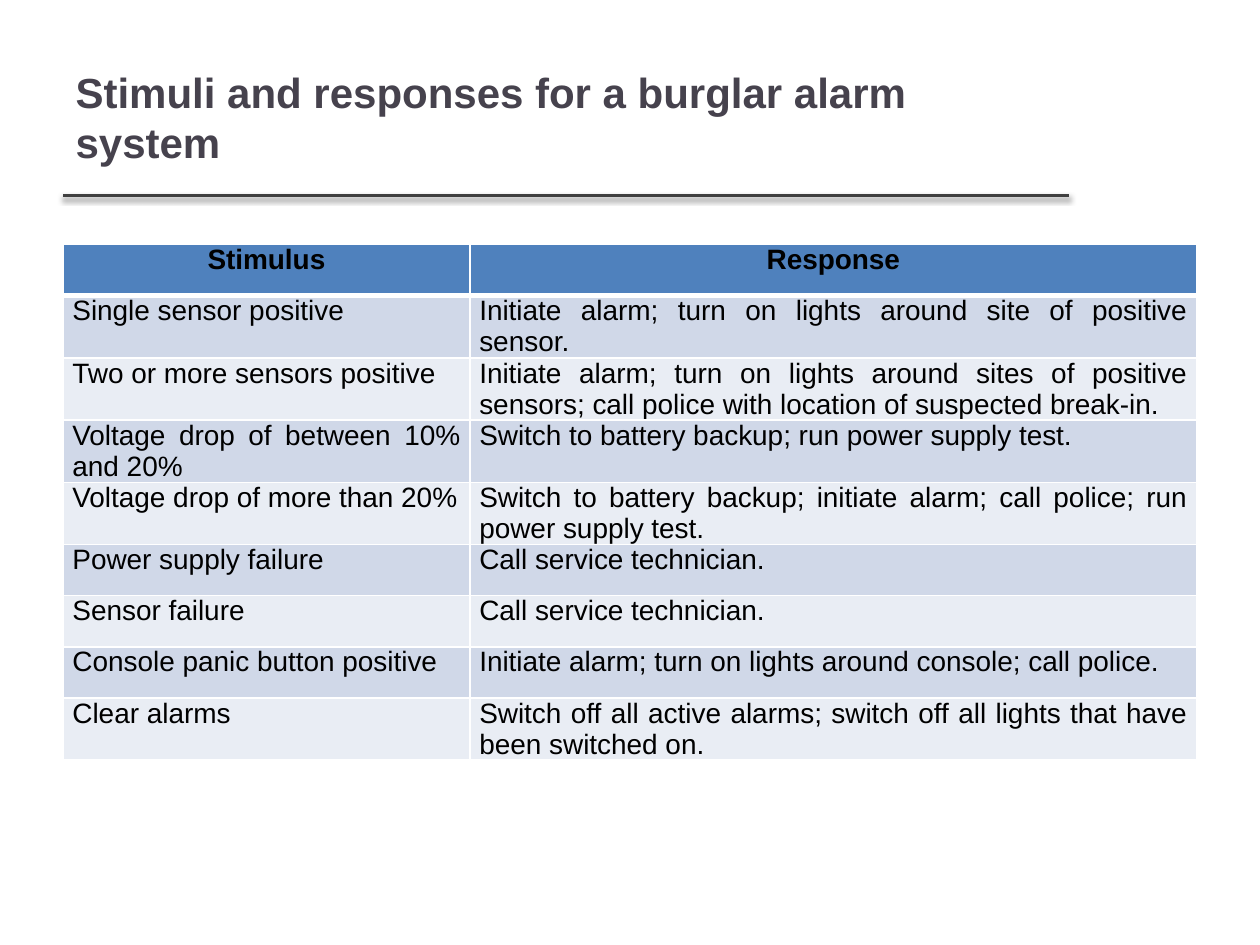
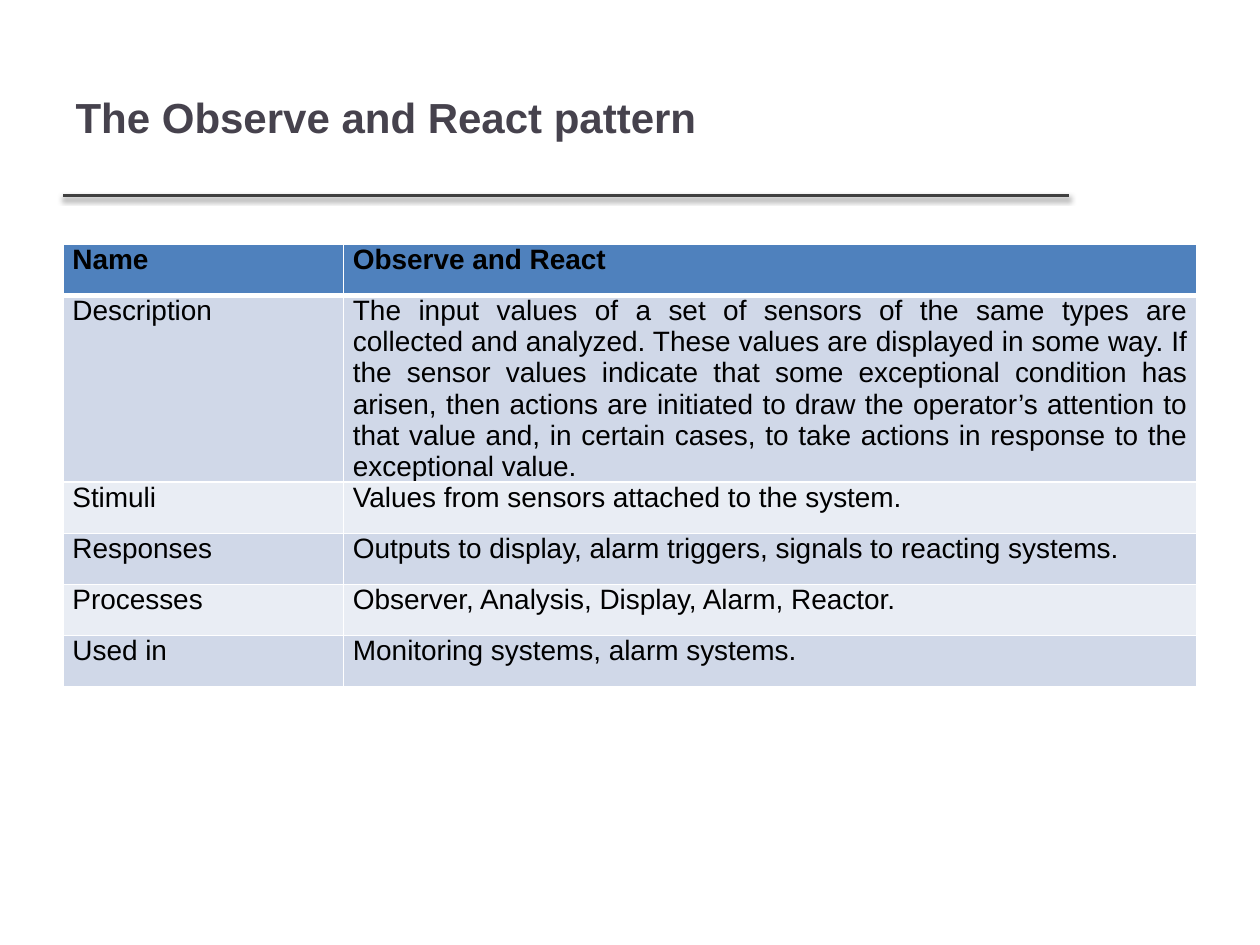
from pptx import Presentation
from pptx.dml.color import RGBColor
from pptx.enum.shapes import MSO_CONNECTOR
from pptx.enum.text import MSO_ANCHOR, MSO_AUTO_SIZE, PP_ALIGN
from pptx.oxml import parse_xml
from pptx.oxml.ns import nsdecls
from pptx.util import Pt

# Content: title, first column width, header alignment, rows
SLIDES = [
    ("Stimuli and responses for a burglar alarm system", 232.5, PP_ALIGN.CENTER, [
        ("Stimulus", "Response"),
        ("Single sensor positive",
         "Initiate alarm; turn on lights around site of positive sensor."),
        ("Two or more sensors positive",
         "Initiate alarm; turn on lights around sites of positive sensors; "
         "call police with location of suspected break-in."),
        ("Voltage drop of between 10% and 20%",
         "Switch to battery backup; run power supply test."),
        ("Voltage drop of more than 20%",
         "Switch to battery backup; initiate alarm; call police; "
         "run power supply test."),
        ("Power supply failure", "Call service technician."),
        ("Sensor failure", "Call service technician."),
        ("Console panic button positive",
         "Initiate alarm; turn on lights around console; call police."),
        ("Clear alarms",
         "Switch off all active alarms; switch off all lights that have "
         "been switched on."),
    ]),
    ("The Observe and React pattern", 160.3, PP_ALIGN.JUSTIFY, [
        ("Name", "Observe and React"),
        ("Description",
         "The input values of a set of sensors of the same types are collected "
         "and analyzed. These values are displayed in some way. If the sensor "
         "values indicate that some exceptional condition has arisen, then "
         "actions are initiated to draw the operator’s attention to that value "
         "and, in certain cases, to take actions in response to the "
         "exceptional value."),
        ("Stimuli", "Values from sensors attached to the system."),
        ("Responses",
         "Outputs to display, alarm triggers, signals to reacting systems."),
        ("Processes", "Observer, Analysis, Display, Alarm, Reactor."),
        ("Used in", "Monitoring systems, alarm systems."),
    ]),
]

# Shared style
FONT = "Arial"
INK = RGBColor(0x46, 0x42, 0x4D)
RULE = RGBColor(0x40, 0x40, 0x40)
BLACK = RGBColor(0, 0, 0)
HEAD = RGBColor(0x4F, 0x81, 0xBD)
BANDS = [RGBColor(0xE9, 0xED, 0xF4), RGBColor(0xD0, 0xD8, 0xE8)]
LEFT, WIDE, ROW = 36, 648, 29.2
TITLE_W, RULE_Y, TABLE_Y = 575, 111.75, 139.7
SHADOW = (
    f'<a:effectLst {nsdecls("a")}>'
    f'<a:outerShdw blurRad="{Pt(3.1)}" dist="{Pt(1.6)}" dir="5400000" rotWithShape="0">'
    '<a:srgbClr val="000000"><a:alpha val="38000"/></a:srgbClr>'
    '</a:outerShdw></a:effectLst>')
# Cell edges of the header row: side and width
EDGES = [("L", 1), ("R", 1), ("T", 1), ("B", 3)]


def style(para, size, color, bold, align):
    font = para.font
    font.name, font.size, font.bold = FONT, Pt(size), bold
    font.color.rgb = color
    para.alignment = align


def add_title(slide, text):
    title = slide.shapes.title
    title.left, title.top = Pt(LEFT), Pt(21.6)
    title.width, title.height = Pt(TITLE_W), Pt(90)
    frame = title.text_frame
    frame.text = text
    frame.auto_size = MSO_AUTO_SIZE.NONE
    frame.vertical_anchor = MSO_ANCHOR.MIDDLE
    style(frame.paragraphs[0], 24, INK, True, PP_ALIGN.LEFT)


def add_rule(slide):
    rule = slide.shapes.add_connector(
        MSO_CONNECTOR.STRAIGHT, Pt(LEFT), Pt(RULE_Y), Pt(LEFT + TITLE_W), Pt(RULE_Y))
    rule.line.color.rgb = RULE
    rule.line.width = Pt(2)
    rule.element.spPr.append(parse_xml(SHADOW))


def add_edges(cell):
    props = cell._tc.get_or_add_tcPr()
    for side, width in EDGES:
        props.append(parse_xml(
            f'<a:ln{side} {nsdecls("a")} w="{Pt(width)}"><a:solidFill>'
            f'<a:srgbClr val="FFFFFF"/></a:solidFill></a:ln{side}>'))


def fill_cell(cell, text, row, align):
    if row == 0:
        add_edges(cell)
    cell.fill.solid()
    cell.fill.fore_color.rgb = BANDS[row % 2] if row else HEAD
    cell.margin_left = cell.margin_right = Pt(5.4)
    cell.margin_top = cell.margin_bottom = 0
    cell.text = text
    para = cell.text_frame.paragraphs[0]
    style(para, 16, BLACK, row == 0, align)
    para.space_before = Pt(3 if row < 2 else 0)
    para.space_after = Pt(3)


def add_grid(slide, first, align, rows):
    # The default table style supplies the other white borders
    table = slide.shapes.add_table(
        len(rows), 2, Pt(LEFT), Pt(TABLE_Y), Pt(WIDE), Pt(ROW * len(rows))).table
    for col, width in zip(table.columns, (first, WIDE - first)):
        col.width = Pt(width)
    for r, texts in enumerate(rows):
        table.rows[r].height = Pt(ROW)
        for c, text in enumerate(texts):
            fill_cell(table.cell(r, c), text, r, PP_ALIGN.JUSTIFY if r else align)


def main():
    deck = Presentation()
    deck.slide_width, deck.slide_height = Pt(720), Pt(540)
    for title, first, align, rows in SLIDES:
        slide = deck.slides.add_slide(deck.slide_layouts[5])
        add_title(slide, title)
        add_rule(slide)
        add_grid(slide, first, align, rows)
    deck.save("out.pptx")


if __name__ == "__main__":
    main()
